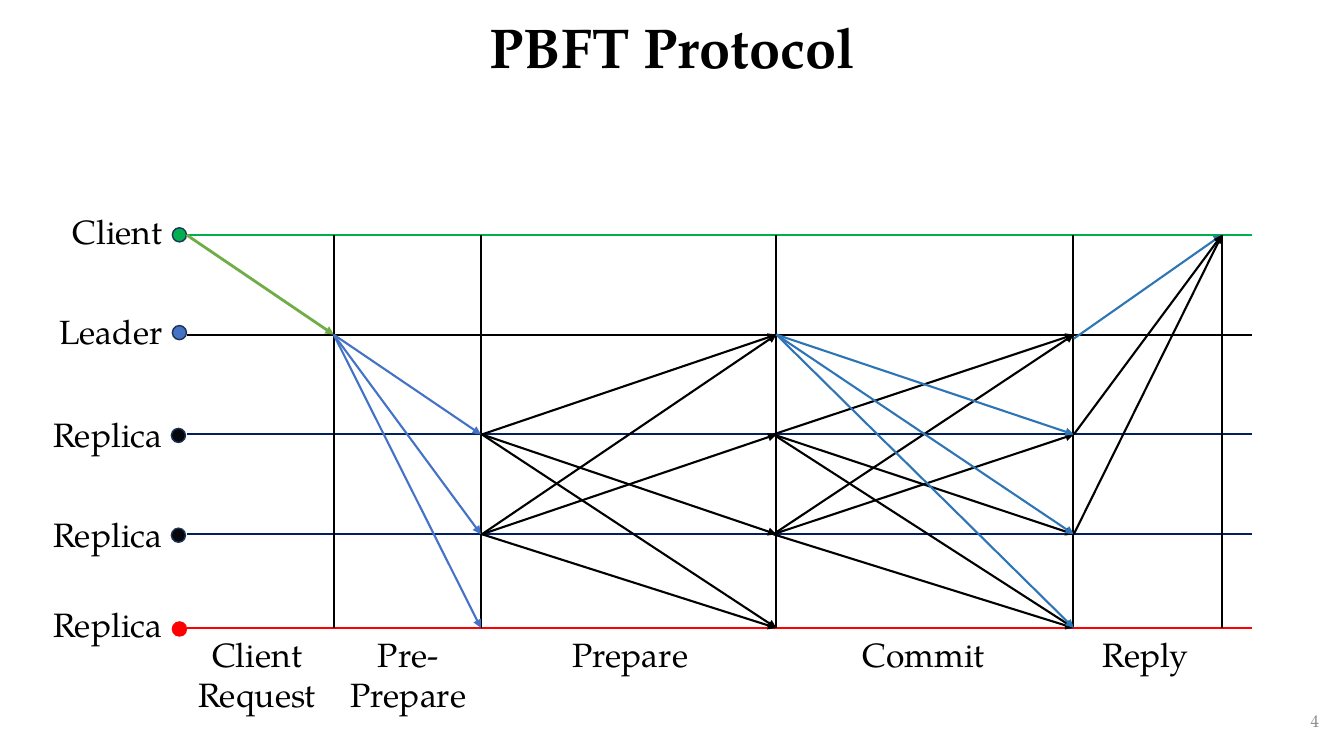
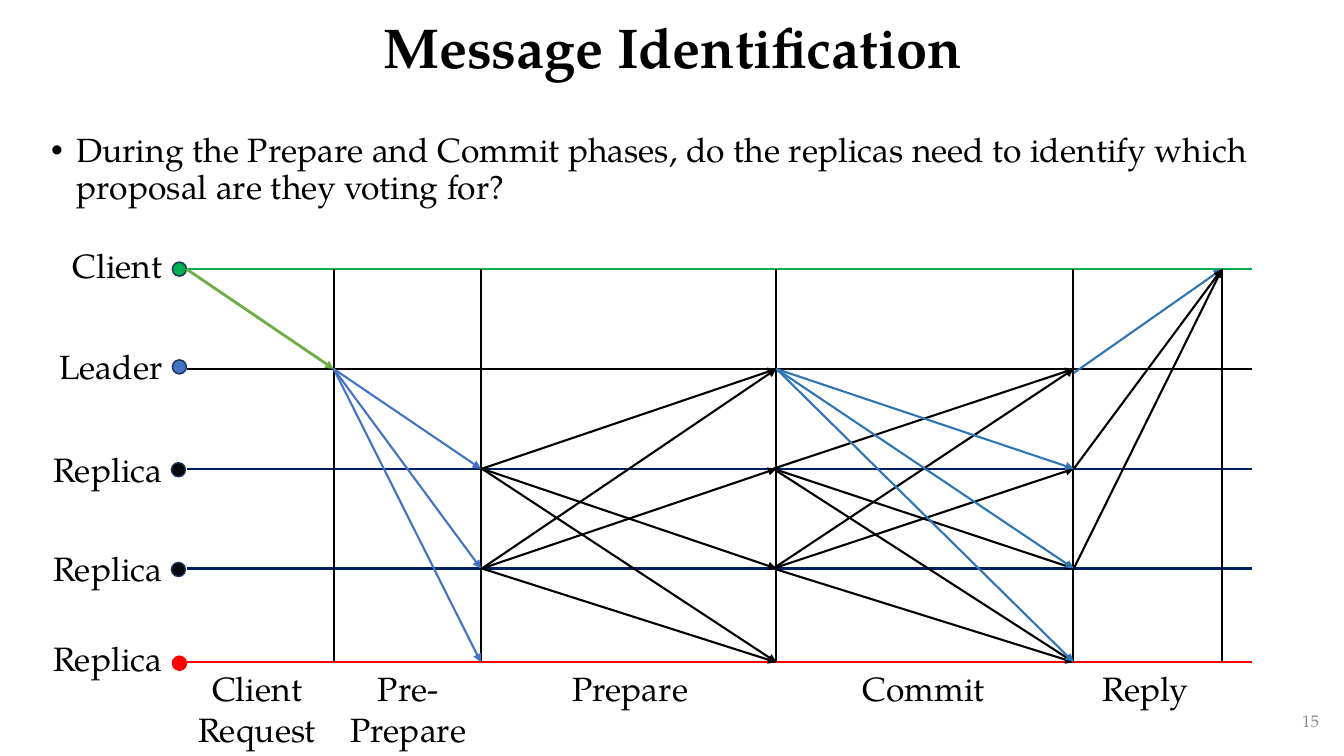
from dataclasses import dataclass

from lxml import etree
from pptx import Presentation
from pptx.dml.color import RGBColor
from pptx.enum import shapes, text
from pptx.oxml.ns import qn
from pptx.util import Inches, Pt

FONT = "TeX Gyre Pagella"
BLACK, GREEN, RED, NAVY = "000000", "00B050", "FF0000", "002060"
BLUE, SKY, LIME = "4472C4", "2E75B6", "70AD47"
INK, OUTLINE, GREY = "07080B", "1E3256", "8C8C8C"
LEFT, CENTER, RIGHT = text.PP_ALIGN.LEFT, text.PP_ALIGN.CENTER, text.PP_ALIGN.RIGHT
TOP, MIDDLE = text.MSO_ANCHOR.TOP, text.MSO_ANCHOR.MIDDLE
LANE_LEFT, LANE_RIGHT = 1.85, 12.42
DIAGRAM_HEIGHT = 3.9
DOT_SIZE = 0.14


@dataclass(frozen=True)
class Lane:
    name: str
    offset: float
    line: str
    dot: str
    dot_line: str
    dot_left: float
    dot_rise: float
    label_rise: float


@dataclass(frozen=True)
class Phase:
    name: str
    left: float
    height: float
    end: float


@dataclass(frozen=True)
class Exchange:
    start: float
    end: float
    routes: tuple[tuple[int, int], ...]
    color: str
    weight: float = 1.5
    drop: float = 0


@dataclass(frozen=True)
class Page:
    title: str
    number: int
    diagram_top: float
    question: str = ""


LANES = (
    Lane("Client", 0, GREEN, GREEN, OUTLINE, 1.71, 0.07, 0.29),
    Lane("Leader", 0.99, BLACK, BLUE, OUTLINE, 1.71, 0.09, 0.28),
    Lane("Replica", 1.98, NAVY, INK, OUTLINE, 1.7, 0.06, 0.25),
    Lane("Replica", 2.97, NAVY, INK, OUTLINE, 1.7, 0.06, 0.25),
    Lane("Replica", DIAGRAM_HEIGHT, RED, RED, RED, 1.71, 0.06, 0.29),
)
PHASES = (
    Phase("Client\nRequest", 1.83, 0.91, 3.31),
    Phase("Pre-Prepare", 3.33, 0.91, 4.77),
    Phase("Prepare", 5.53, 0.5, 7.7),
    Phase("Commit", 8.44, 0.5, 10.64),
    Phase("Reply", 10.64, 0.5, 12.12),
)
LEADER_ROUTES = ((1, 2), (1, 3), (1, 4))
REPLICA_ROUTES = ((2, 1), (3, 1), (2, 3), (3, 2), (2, 4), (3, 4))
EXCHANGES = (
    Exchange(LANE_LEFT, 3.31, ((0, 1),), LIME, 2),
    Exchange(3.31, 4.77, LEADER_ROUTES, BLUE),
    Exchange(4.78, 7.7, REPLICA_ROUTES, BLACK),
    Exchange(7.67, 10.65, REPLICA_ROUTES, BLACK),
    Exchange(7.7, 10.65, LEADER_ROUTES, SKY),
    Exchange(10.65, 12.12, ((1, 0),), SKY, drop=0.04),
    Exchange(10.65, 12.12, ((2, 0), (3, 0)), BLACK),
)
PAGES = (
    Page("PBFT Protocol", 4, 2.33),
    Page(
        "Message Identification",
        15,
        2.67,
        "During the Prepare and Commit phases, do the replicas need to identify "
        "which proposal are they voting for?",
    ),
)


def rgb(color: str) -> RGBColor:
    return RGBColor.from_string(color)


def add_text(slide, content: str, left: float, top: float, width: float, height: float,
             size: float = 24, align=CENTER, anchor=TOP, color: str = BLACK,
             bold: bool = False, spacing: float = 1.0):
    frame = slide.shapes.add_textbox(
        Inches(left), Inches(top), Inches(width), Inches(height)).text_frame
    frame.word_wrap = True
    frame.vertical_anchor = anchor
    frame.text = content
    for paragraph in frame.paragraphs:
        paragraph.alignment = align
        paragraph.line_spacing = spacing
        for run in paragraph.runs:
            run.font.name = FONT
            run.font.size = Pt(size)
            run.font.bold = bold
            run.font.color.rgb = rgb(color)
    return frame


def add_line(slide, x1: float, y1: float, x2: float, y2: float, color: str,
             weight: float = 1.5, arrow: bool = False) -> None:
    connector = slide.shapes.add_connector(
        shapes.MSO_CONNECTOR.STRAIGHT, Inches(x1), Inches(y1), Inches(x2), Inches(y2))
    connector.line.color.rgb = rgb(color)
    connector.line.width = Pt(weight)
    if arrow:
        etree.SubElement(connector.line._get_or_add_ln(), qn("a:tailEnd"), type="triangle")
    etree.SubElement(connector._element.spPr, qn("a:effectLst"))


def add_dot(slide, lane: Lane, y: float) -> None:
    dot = slide.shapes.add_shape(
        shapes.MSO_SHAPE.OVAL, Inches(lane.dot_left), Inches(y - lane.dot_rise),
        Inches(DOT_SIZE), Inches(DOT_SIZE))
    dot.shadow.inherit = False
    dot.fill.solid()
    dot.fill.fore_color.rgb = rgb(lane.dot)
    dot.line.color.rgb = rgb(lane.dot_line)
    dot.line.width = Pt(1)


def add_question(slide, question: str) -> None:
    frame = add_text(slide, question, 0.41, 1.28, 12.92, 0.9, align=LEFT, spacing=0.9)
    paragraph = frame.paragraphs[0]
    paragraph.space_before = Pt(10)
    properties = paragraph._p.get_or_add_pPr()
    properties.set("marL", str(Inches(0.25)))
    properties.set("indent", str(-Inches(0.25)))
    etree.SubElement(properties, qn("a:buFont"), typeface="Arial")
    etree.SubElement(properties, qn("a:buChar"), char="•")


def add_diagram(slide, top: float) -> None:
    bottom = top + DIAGRAM_HEIGHT
    for lane in LANES:
        y = top + lane.offset
        add_dot(slide, lane, y)
        add_text(slide, lane.name, 0.35, y - lane.label_rise, 1.36, 0.5, align=RIGHT)
        add_line(slide, LANE_LEFT, y, LANE_RIGHT, y, lane.line)
    for phase in PHASES:
        add_line(slide, phase.end, top, phase.end, bottom, BLACK)
        add_text(slide, phase.name, phase.left, bottom + 0.01, 1.44, phase.height)
    for exchange in EXCHANGES:
        for sender, receiver in exchange.routes:
            add_line(slide, exchange.start, top + LANES[sender].offset + exchange.drop,
                     exchange.end, top + LANES[receiver].offset,
                     exchange.color, exchange.weight, arrow=True)


def add_page(deck, page: Page) -> None:
    slide = deck.slides.add_slide(deck.slide_layouts[6])
    add_text(slide, page.title, 0.92, 0, 11.5, 0.99, size=40, anchor=MIDDLE,
             bold=True, spacing=0.9)
    if page.question:
        add_question(slide, page.question)
    add_text(slide, str(page.number), 10.18, 6.95, 3, 0.4, size=12, align=RIGHT,
             anchor=MIDDLE, color=GREY)
    add_diagram(slide, page.diagram_top)


def main() -> None:
    deck = Presentation()
    deck.slide_width, deck.slide_height = Inches(13.33), Inches(7.5)
    for page in PAGES:
        add_page(deck, page)
    deck.save("out.pptx")


if __name__ == "__main__":
    main()
